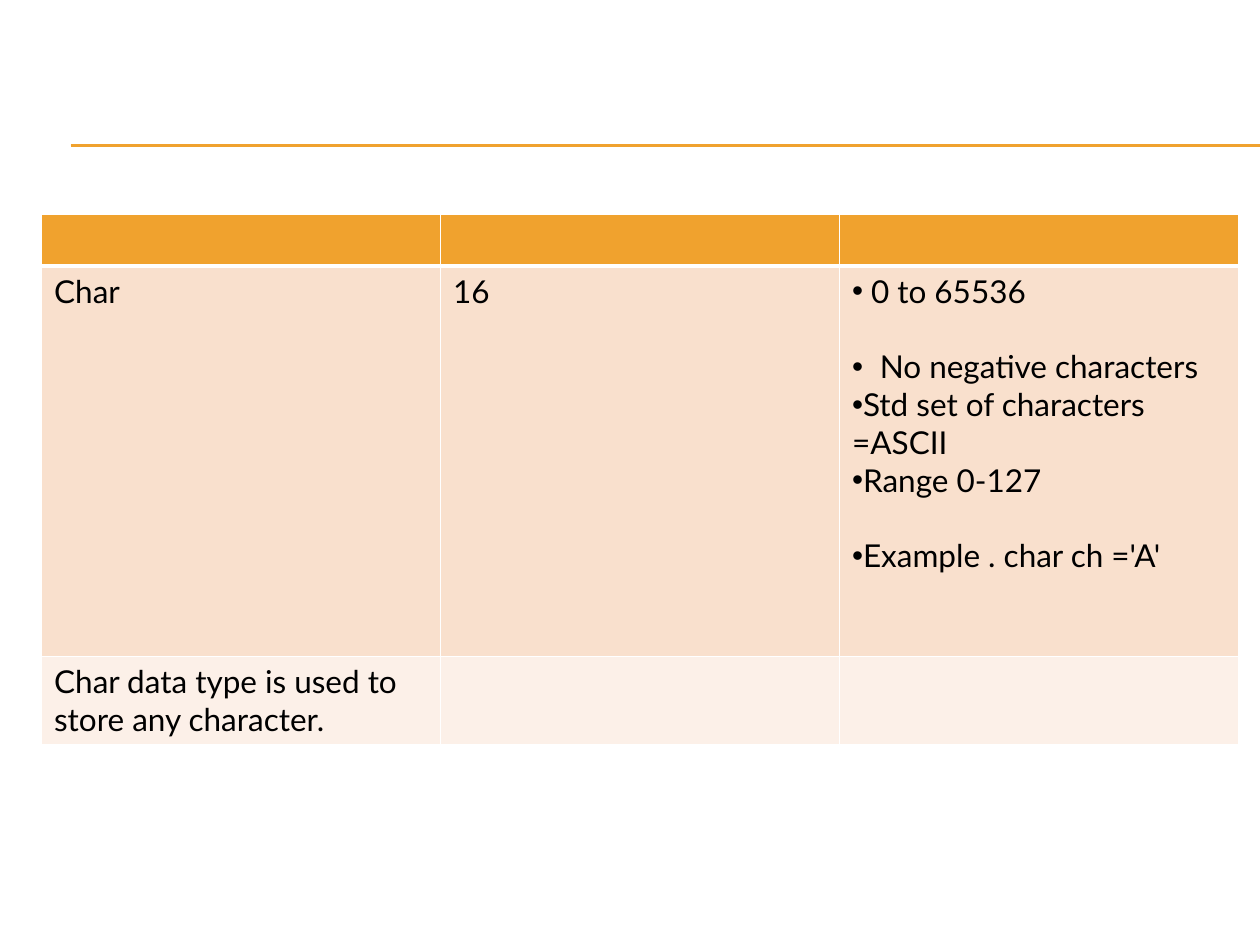
from lxml import etree
from pptx import Presentation
from pptx import util as u
from pptx.dml.color import RGBColor
from pptx.enum import shapes
from pptx.oxml import ns

AMBER = RGBColor(0xF0, 0xA2, 0x2E)
PEACH = RGBColor(0xF9, 0xE0, 0xCD)
CREAM = RGBColor(0xFC, 0xF0, 0xE8)
WHITE = RGBColor(0xFF, 0xFF, 0xFF)
BLACK = RGBColor(0x00, 0x00, 0x00)

BLANK_LINE = 21.6  # points: one line of 18 pt text

# Each paragraph: text, bullet gap in inches (None for no bullet), points before
CHAR_FACTS = [
    ("0 to 65536", 0.15, 0),
    ("No negative characters", 0.22, BLANK_LINE),
    ("Std set of characters =ASCII", 0, 0),
    ("Range 0-127", 0, 0),
    ("Example . char ch ='A'", 0, BLANK_LINE),
]


def plain(words):
    return [(words, None, 0)]


# Each row: height in inches, fill, width of the line below, cells
TYPE_ROWS = [
    (0.41, AMBER, 3, [[], [], []]),
    (3.1, PEACH, 1, [plain("Char"), plain("16"), CHAR_FACTS]),
    (0.7, CREAM, 1,
     [plain("Char data type is used to store any character."), [], []]),
]


class SlideBuilder:
    """Holds the style and the slide; positions are shares of the slide size."""

    font = "Lato"
    size = u.Pt(18)

    def __init__(self, deck):
        self.width, self.height = deck.slide_width, deck.slide_height
        self.slide = deck.slides.add_slide(deck.slide_layouts[6])

    def rule(self, left, right, level):
        y = int(self.height * level)
        line = self.slide.shapes.add_connector(
            shapes.MSO_CONNECTOR.STRAIGHT,
            int(self.width * left), y, int(self.width * right), y)
        line.line.color.rgb = AMBER
        line.line.width = u.Pt(0.75)
        properties = line._element.find(ns.qn("p:spPr"))
        etree.SubElement(properties, ns.qn("a:effectLst"))

    def table(self, left, top, width, rows):
        columns = len(rows[0][3])
        total = u.Inches(sum(row[0] for row in rows))
        grid = self.slide.shapes.add_table(
            len(rows), columns, int(self.width * left),
            int(self.height * top), int(self.width * width), total).table
        line_above = 1
        for r, (height, fill, line_below, cells) in enumerate(rows):
            grid.rows[r].height = u.Inches(height)
            for c, paragraphs in enumerate(cells):
                cell = grid.cell(r, c)
                self.borders(cell, line_above, line_below)
                cell.fill.solid()
                cell.fill.fore_color.rgb = fill
                self.fill_text(cell.text_frame, paragraphs)
            line_above = line_below

    def borders(self, cell, above, below):
        properties = cell._tc.get_or_add_tcPr()
        for side, points in zip("LRTB", (1, 1, above, below)):
            edge = etree.SubElement(properties, ns.qn(f"a:ln{side}"),
                                    w=str(u.Pt(points)))
            paint = etree.SubElement(edge, ns.qn("a:solidFill"))
            etree.SubElement(paint, ns.qn("a:srgbClr"), val=str(WHITE))

    def fill_text(self, frame, paragraphs):
        for i, (words, gap, before) in enumerate(paragraphs):
            paragraph = frame.add_paragraph() if i else frame.paragraphs[0]
            paragraph.space_before = u.Pt(before)
            if gap is not None:
                self.bullet(paragraph, gap)
            run = paragraph.add_run()
            run.text = words
            run.font.name = self.font
            run.font.size = self.size
            run.font.color.rgb = BLACK

    def bullet(self, paragraph, gap):
        properties = paragraph._p.get_or_add_pPr()
        properties.set("marL", str(u.Inches(gap)))
        properties.set("indent", str(-u.Inches(gap)))
        etree.SubElement(properties, ns.qn("a:buFont"), typeface="Arial")
        etree.SubElement(properties, ns.qn("a:buChar"), char="•")


def main():
    deck = Presentation()
    deck.slide_width, deck.slide_height = u.Inches(10), u.Inches(7.5)
    builder = SlideBuilder(deck)
    for level in (1.15, 1.16):
        builder.rule(0.056, 1, level / 7.5)
    builder.table(0.033, 1.7 / 7.5, 0.95, TYPE_ROWS)
    deck.save("out.pptx")


if __name__ == "__main__":
    main()
